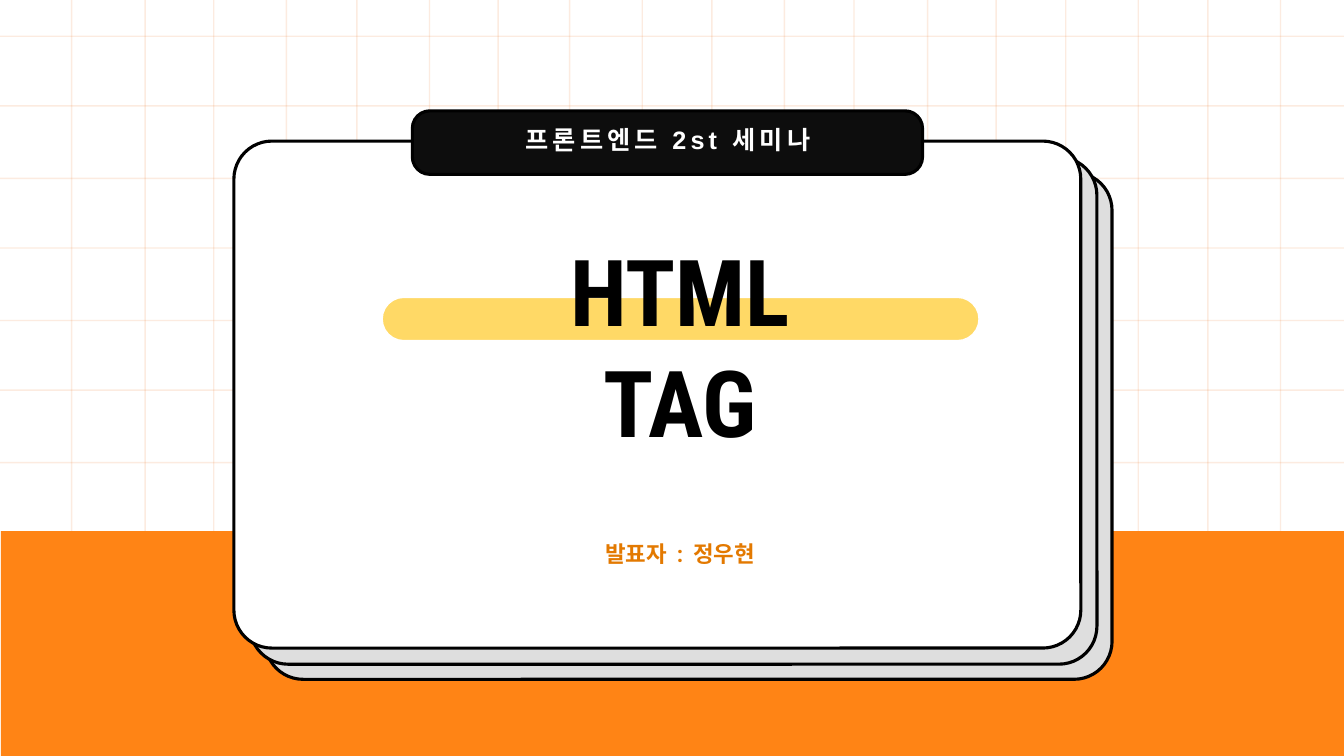
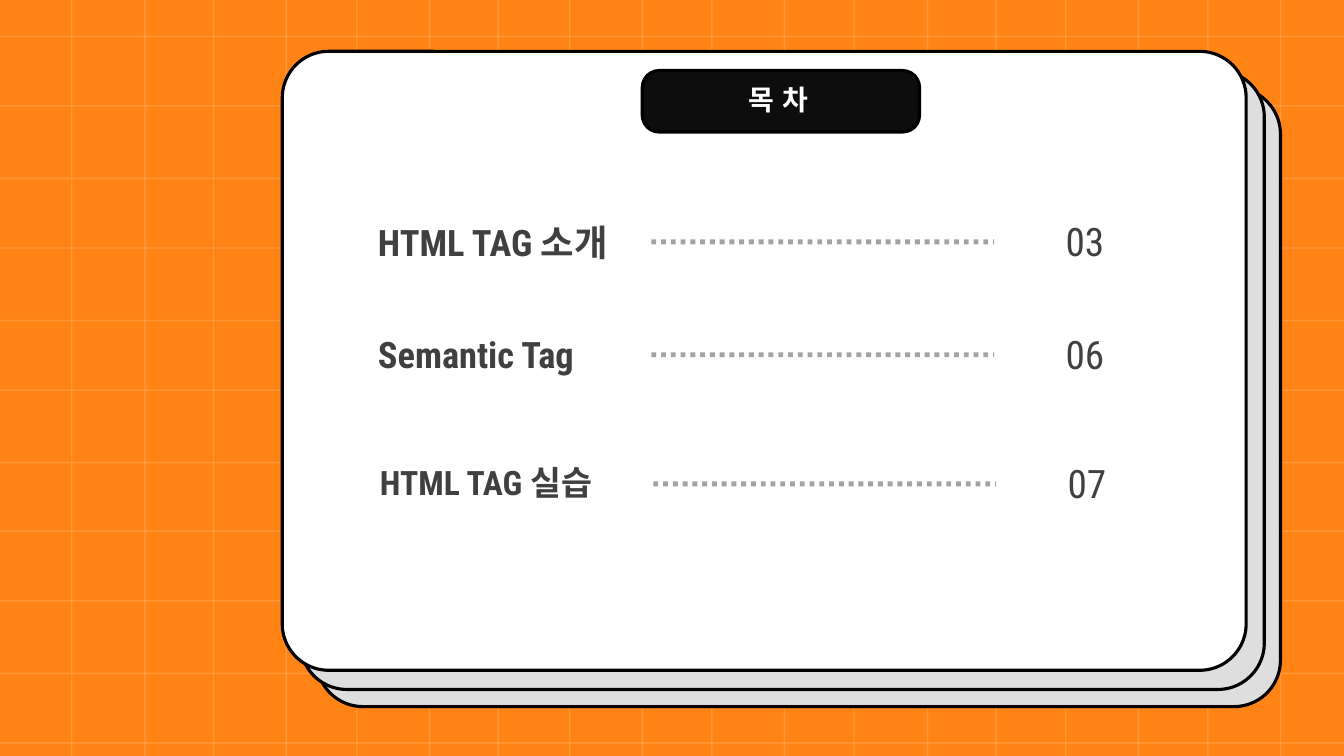
from dataclasses import dataclass

from lxml.etree import SubElement
from pptx import Presentation
from pptx.dml.color import RGBColor
from pptx.enum.dml import MSO_LINE as Dash
from pptx.enum.shapes import MSO_CONNECTOR as Connector, MSO_SHAPE as Shape
from pptx.enum.text import MSO_AUTO_SIZE as AutoSize, PP_ALIGN as Align
from pptx.oxml.ns import qn
from pptx.util import Inches, Pt


@dataclass(frozen=True)
class Theme:
    white: str = "FFFFFF"
    black: str = "000000"
    orange: str = "FF8415"
    grid: str = "ED7D31"
    paper: str = "DEDEDE"
    label: str = "0D0D0D"
    highlight: str = "FFD966"
    speaker: str = "E37900"
    ink: str = "404040"
    leader: str = "595959"
    latin: str = "Roboto Condensed"
    korean: str = "Noto Sans CJK KR"
    title_size: int = 66
    number_size: int = 28
    entry_size: int = 26
    small_entry_size: int = 24
    contents_size: int = 20
    seminar_size: int = 18
    speaker_size: int = 16


theme = Theme()
WIDTH, HEIGHT = 13.33, 7.5
GRID_ROWS = [0.36, 1.05, 1.77, 2.46, 3.18, 3.87, 4.59, 5.27, 5.96, 6.68, 7.37]
GRID_COLUMNS = [0.71, 1.44, 2.12, 2.84, 3.54, 4.26, 4.94, 5.65, 6.37,
                7.06, 7.78, 8.47, 9.2, 9.88, 10.57, 11.29, 11.98, 12.7]

deck = Presentation()
deck.slide_width, deck.slide_height = Inches(WIDTH), Inches(HEIGHT)


def add_line(page, start, end, color, width, opacity, dash=Dash.SOLID):
    ends = [Inches(value) for value in (*start, *end)]
    line = page.shapes.add_connector(Connector.STRAIGHT, *ends)
    line.line.color.rgb = RGBColor.from_string(color)
    line.line.width = Pt(width)
    line.line.dash_style = dash
    color_node = line.line._ln.find(".//" + qn("a:srgbClr"))
    SubElement(color_node, qn("a:alpha"), val=str(opacity * 1000))
    SubElement(line._element.spPr, qn("a:effectLst"))


def add_text(page, area, text, size, color, bold=True, align=Align.CENTER,
             font=theme.latin, spacing=0):
    box = page.shapes.add_textbox(*[Inches(value) for value in area])
    box.text_frame.word_wrap = True
    box.text_frame.auto_size = AutoSize.SHAPE_TO_FIT_TEXT
    para = box.text_frame.paragraphs[0]
    para.alignment = align
    span = para.add_run()
    span.text = text
    span.font.size, span.font.bold, span.font.name = Pt(size), bold, font
    span.font.color.rgb = RGBColor.from_string(color)
    props = span.font._element
    SubElement(props, qn("a:ea"), typeface=theme.korean)
    if spacing:
        props.set("spc", str(spacing * 100))


# Each page: background, grid, and shapes as (kind, area, corner, fill, line, width)
CARD, LABEL = 0.075, 0.275
layouts = [
    dict(back=theme.white, grid=theme.grid, rows=GRID_ROWS[:7],
         band=(0.01, 5.27, WIDTH, 2.23),
         cards=[(2.63, 1.71), (2.48, 1.56), (2.32, 1.4)], card_size=(8.4, 5.03),
         label=(4.09, 1.1, 5.06, 0.63)),
    dict(back=theme.orange, grid=theme.white, rows=GRID_ROWS, band=None,
         cards=[(3.14, 0.87), (2.98, 0.7), (2.8, 0.51)], card_size=(9.56, 6.14),
         label=(6.37, 0.7, 2.75, 0.61)),
]
pages = []
for layout in layouts:
    page = deck.slides.add_slide(deck.slide_layouts[6])
    pages.append(page)
    page.background.fill.solid()
    page.background.fill.fore_color.rgb = RGBColor.from_string(layout["back"])

    # Grid
    for y in layout["rows"]:
        add_line(page, (0, y), (WIDTH, y), layout["grid"], 1, 15)
    for x in GRID_COLUMNS:
        add_line(page, (x, 0), (x, HEIGHT), layout["grid"], 1, 15)

    # Band, stacked cards, label and title highlight
    parts = []
    if layout["band"]:
        parts.append((layout["band"], None, theme.orange, None, 0))
    for corner, fill in zip(layout["cards"], (theme.paper, theme.paper, theme.white)):
        parts.append(((*corner, *layout["card_size"]), CARD, fill, theme.black, 2.25))
    parts.append((layout["label"], LABEL, theme.label, theme.black, 2.25))
    if layout["band"]:
        parts.append(((3.79, 2.95, 5.92, 0.43), 0.5, theme.highlight, theme.white, 1))
    for area, rounding, fill, outline, width in parts:
        kind = Shape.ROUNDED_RECTANGLE if rounding else Shape.RECTANGLE
        shape = page.shapes.add_shape(kind, *[Inches(value) for value in area])
        shape.shadow.inherit = False
        shape.fill.solid()
        shape.fill.fore_color.rgb = RGBColor.from_string(fill)
        if rounding:
            shape.adjustments[0] = rounding
        if outline:
            shape.line.color.rgb = RGBColor.from_string(outline)
            shape.line.width = Pt(width)
        else:
            shape.line.fill.background()

# Cover text
cover, contents = pages
add_text(cover, (4.23, 1.18, 4.79, 0.4), "프론트엔드 2st 세미나", theme.seminar_size,
         theme.white, font="Arial", spacing=3)
add_text(cover, (4.9, 2.27, 3.69, 1.21), "HTML TAG", theme.title_size, theme.black)
add_text(cover, (5.49, 5.31, 2.51, 0.37), "발표자  :  정우현", theme.speaker_size,
         theme.speaker)

# Contents: entry, dotted leader, page number
add_text(contents, (6.64, 0.77, 2.16, 0.44), "목차", theme.contents_size,
         theme.white, font=theme.korean, spacing=6)
entries = [
    ("HTML TAG 소개", "03", 3.65, 2.4, theme.entry_size),
    ("Semantic Tag", "06", 3.65, 3.52, theme.entry_size),
    ("HTML TAG 실습", "07", 3.67, 4.8, theme.small_entry_size),
]
for name, number, left, middle, size in entries:
    add_text(contents, (left, middle - 0.27, 2.72, 0.54), name, size, theme.ink,
             align=Align.LEFT)
    add_line(contents, (left + 2.81, middle), (left + 6.21, middle),
             theme.leader, 3.5, 55, Dash.ROUND_DOT)
    add_text(contents, (left + 6.82, middle - 0.29, 1.16, 0.57), number,
             theme.number_size, theme.ink, bold=False, align=Align.LEFT)

deck.save("out.pptx")
